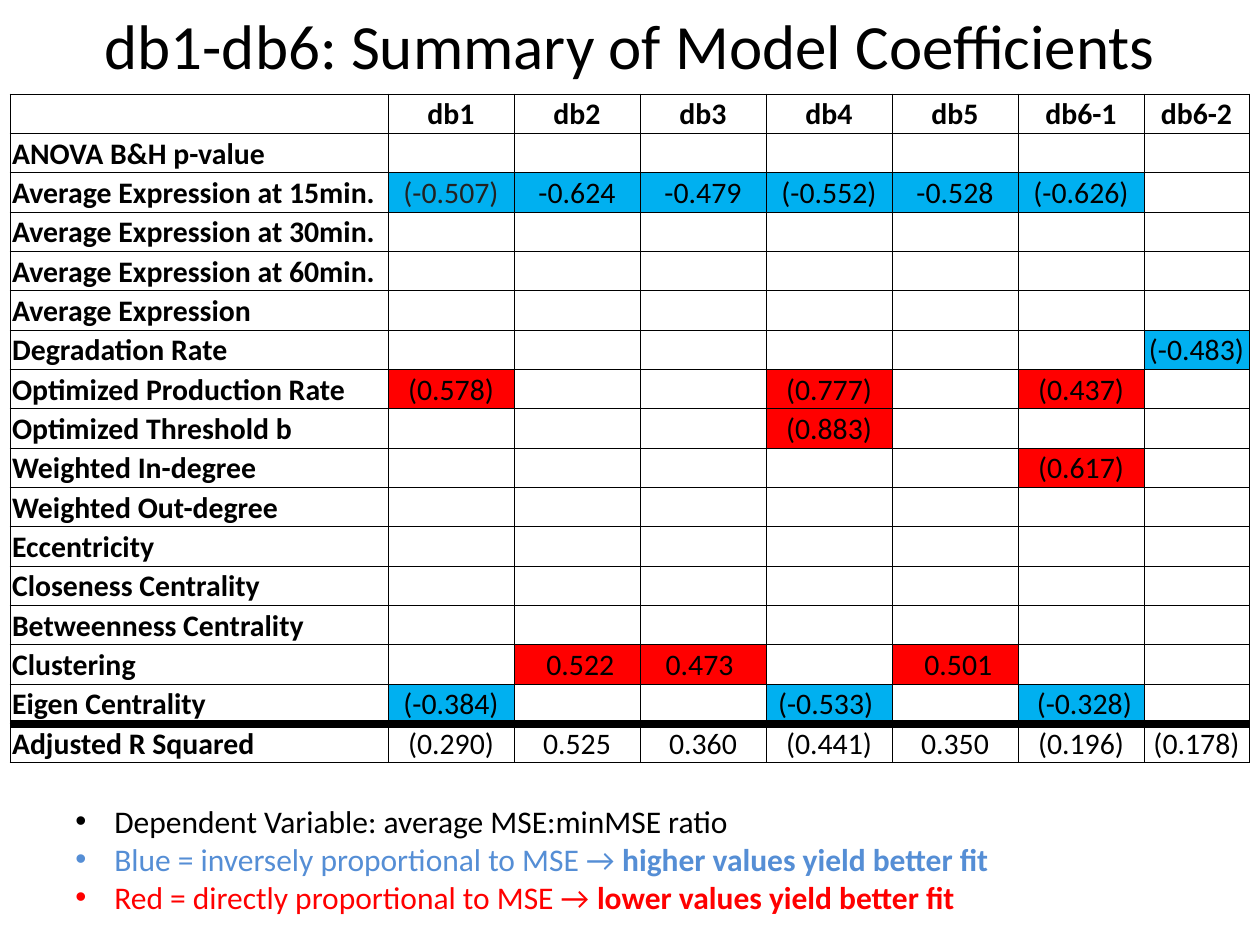
from lxml import etree
from pptx import Presentation
from pptx.dml.color import RGBColor
from pptx.enum.shapes import MSO_CONNECTOR
from pptx.enum.text import MSO_ANCHOR, PP_ALIGN
from pptx.oxml.ns import qn
from pptx.util import Pt

STRAIGHT = MSO_CONNECTOR.STRAIGHT
TOP, MIDDLE = MSO_ANCHOR.TOP, MSO_ANCHOR.MIDDLE
LEFT, CENTER = PP_ALIGN.LEFT, PP_ALIGN.CENTER

BLACK = RGBColor(0x00, 0x00, 0x00)
CHARCOAL = RGBColor(0x22, 0x22, 0x22)
CELL_BLUE = RGBColor(0x00, 0xB0, 0xF0)
TEXT_BLUE = RGBColor(0x55, 0x8E, 0xD5)
RED = RGBColor(0xFF, 0x00, 0x00)

FONT = "Calibri"
TITLE_LAYOUT = 5
EMU_PER_PX = 914400 / 126

COLUMN_WIDTHS = [378] + [126] * 6 + [105]
TABLE_HEIGHT = 669
CELL_SIZE = 17

DATABASES = ["db1", "db2", "db3", "db4", "db5", "db6-1", "db6-2"]
FACTORS = [
    "ANOVA B&H p-value",
    "Average Expression at 15min.",
    "Average Expression at 30min.",
    "Average Expression at 60min.",
    "Average Expression",
    "Degradation Rate",
    "Optimized Production Rate",
    "Optimized Threshold b",
    "Weighted In-degree",
    "Weighted Out-degree",
    "Eccentricity",
    "Closeness Centrality",
    "Betweenness Centrality",
    "Clustering",
    "Eigen Centrality",
    "Adjusted R Squared",
]
FIT_ROW = "Adjusted R Squared"
COEFFICIENTS = {
    "Average Expression at 15min.": {
        "db1": "(-0.507)", "db2": "-0.624", "db3": "-0.479",
        "db4": "(-0.552)", "db5": "-0.528", "db6-1": "(-0.626)"},
    "Degradation Rate": {"db6-2": "(-0.483)"},
    "Optimized Production Rate": {
        "db1": "(0.578)", "db4": "(0.777)", "db6-1": "(0.437)"},
    "Optimized Threshold b": {"db4": "(0.883)"},
    "Weighted In-degree": {"db6-1": "(0.617)"},
    "Clustering": {"db2": " 0.522", "db3": "0.473 ", "db5": " 0.501"},
    "Eigen Centrality": {
        "db1": "(-0.384)", "db4": "(-0.533) ", "db6-1": " (-0.328)"},
    FIT_ROW: {
        "db1": "(0.290)", "db2": "0.525", "db3": "0.360", "db4": "(0.441)",
        "db5": "0.350", "db6-1": "(0.196)", "db6-2": "(0.178)"},
}
NOTES = [
    (BLACK, "Dependent Variable: average MSE:minMSE ratio", ""),
    (TEXT_BLUE, "Blue = inversely proportional to MSE → ",
     "higher values yield better fit"),
    (RED, "Red = directly proportional to MSE → ",
     "lower values yield better fit"),
]


def px(length):
    return round(length * EMU_PER_PX)


def format_font(font, size, color=BLACK, bold=False):
    font.name = FONT
    font.size = Pt(size)
    font.bold = bold
    font.color.rgb = color


def add_title(page, text):
    title = page.shapes.title
    title.left, title.top, title.width, title.height = px(63), 0, px(1134), px(157)
    title.text_frame.text = text
    title.text_frame.vertical_anchor = TOP
    para = title.text_frame.paragraphs[0]
    para.alignment = CENTER
    format_font(para.runs[0].font, 36)


def add_borders(cell):
    properties = cell._tc.get_or_add_tcPr()
    for side in ("a:lnL", "a:lnR", "a:lnT", "a:lnB"):
        line = etree.SubElement(properties, qn(side), w=str(Pt(0.5)))
        fill = etree.SubElement(line, qn("a:solidFill"))
        etree.SubElement(fill, qn("a:srgbClr"), val=str(BLACK))


def fill_cell(cell, text, alignment=CENTER, bold=False, color=BLACK, fill=None):
    add_borders(cell)
    if fill is None:
        cell.fill.background()
    else:
        cell.fill.solid()
        cell.fill.fore_color.rgb = fill
    cell.margin_left = cell.margin_right = cell.margin_top = px(2)
    cell.margin_bottom = 0
    cell.vertical_anchor = MIDDLE
    para = cell.text_frame.paragraphs[0]
    para.alignment = alignment
    if text:
        para.text = text
        format_font(para.runs[0].font, CELL_SIZE, color, bold)
    else:
        # The end mark sets the height of an empty cell.
        etree.SubElement(para._p, qn("a:endParaRPr"), sz=str(CELL_SIZE * 100))


def coefficient_fill(factor, value):
    """Blue for negative coefficients, red for positive ones."""
    if not value or factor == FIT_ROW:
        return None
    return CELL_BLUE if "-" in value else RED


def add_coefficient_table(page):
    row_count = len(FACTORS) + 1
    frame = page.shapes.add_table(row_count, len(COLUMN_WIDTHS), px(10), px(94),
                                  px(sum(COLUMN_WIDTHS)), px(TABLE_HEIGHT))
    table = frame.table
    table.first_row = table.horz_banding = False
    for column, width in zip(table.columns, COLUMN_WIDTHS):
        column.width = px(width)
    for row in table.rows:
        row.height = px(TABLE_HEIGHT / row_count)

    for column, heading in enumerate([""] + DATABASES):
        fill_cell(table.cell(0, column), heading, bold=True)
    for row, factor in enumerate(FACTORS, 1):
        fill_cell(table.cell(row, 0), factor, LEFT, bold=True)
        values = COEFFICIENTS.get(factor, {})
        for column, database in enumerate(DATABASES, 1):
            value = values.get(database, "")
            color = CHARCOAL if value == "(-0.507)" else BLACK
            fill_cell(table.cell(row, column), value, color=color,
                      fill=coefficient_fill(factor, value))


def add_divider(page):
    line = page.shapes.add_connector(STRAIGHT, px(10), px(724), px(1250), px(724))
    line.line.color.rgb = BLACK
    line.line.width = Pt(4.5)
    etree.SubElement(line._element.spPr, qn("a:effectLst"))


def add_bullet(para, indent):
    properties = para._p.get_or_add_pPr()
    properties.set("marL", str(indent))
    properties.set("indent", str(-indent))
    etree.SubElement(properties, qn("a:buFont"), typeface="Arial")
    etree.SubElement(properties, qn("a:buChar"), char="•")


def add_notes(page):
    box = page.shapes.add_textbox(px(63), px(796), px(1197), px(127))
    frame = box.text_frame
    frame.word_wrap = True
    for index, (color, meaning, emphasis) in enumerate(NOTES):
        para = frame.add_paragraph() if index else frame.paragraphs[0]
        add_bullet(para, px(39))
        for text, bold in ((meaning, False), (emphasis, True)):
            if text:
                span = para.add_run()
                span.text = text
                format_font(span.font, 18, color, bold)


def main():
    deck = Presentation()
    deck.slide_width, deck.slide_height = px(1260), px(945)
    page = deck.slides.add_slide(deck.slide_layouts[TITLE_LAYOUT])
    add_title(page, "db1-db6: Summary of Model Coefficients")
    add_coefficient_table(page)
    add_divider(page)
    add_notes(page)
    deck.save("out.pptx")


if __name__ == "__main__":
    main()
